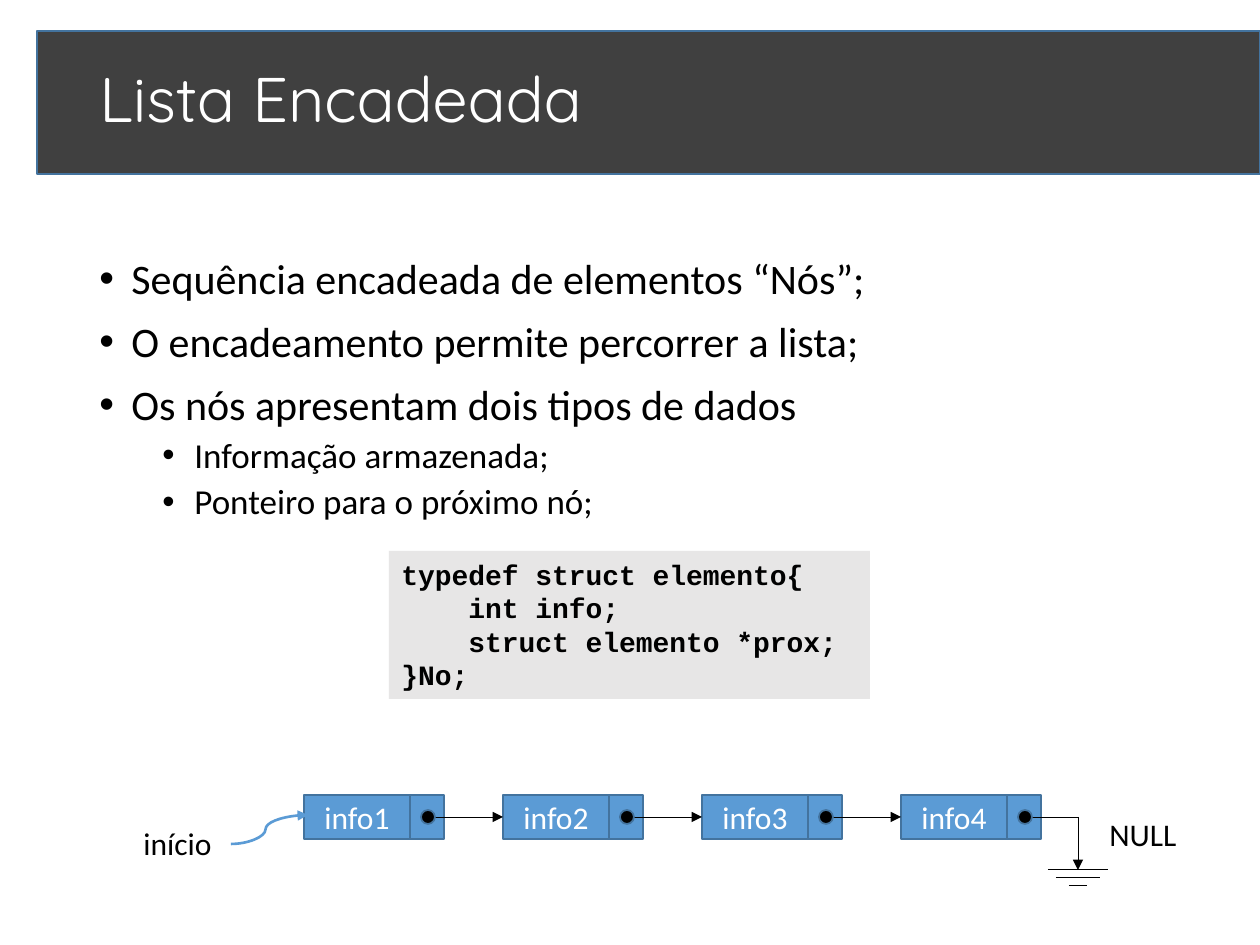
from lxml.etree import SubElement
from pptx import Presentation
from pptx.dml.color import RGBColor
from pptx.enum.shapes import MSO_CONNECTOR, MSO_SHAPE
from pptx.enum.text import MSO_ANCHOR, PP_ALIGN
from pptx.oxml.ns import qn
from pptx.util import Emu, Pt

BLACK = RGBColor(0, 0, 0)
WHITE = RGBColor(255, 255, 255)
DARK = RGBColor(0x40, 0x40, 0x40)
BLUE = RGBColor(0x5B, 0x9B, 0xD5)
EDGE = RGBColor(0x43, 0x73, 0x9E)
GRAY = RGBColor(0xE7, 0xE6, 0xE6)
SCALE = 914400 / 126  # EMU in one px


def emu(px):
    return Emu(round(px * SCALE))


class Deck:
    font = "Calibri"

    def __init__(self, wide, high):
        self.prs = Presentation()
        self.prs.slide_width, self.prs.slide_height = emu(wide), emu(high)
        self.slide = self.prs.slides.add_slide(self.prs.slide_layouts[6])

    def shape(self, kind, box, fill, edge=None):
        item = self.slide.shapes.add_shape(kind, *map(emu, box))
        item.shadow.inherit = False
        item.fill.solid()
        item.fill.fore_color.rgb = fill
        if edge is None:
            item.line.fill.background()
        else:
            item.line.color.rgb = edge
            item.line.width = Pt(1)
        return item

    def box(self, box, wrap=True):
        item = self.slide.shapes.add_textbox(*map(emu, box))
        item.text_frame.word_wrap = wrap
        return item

    def label(self, item, lines, size, color=BLACK, font=None, bold=False,
              align=PP_ALIGN.LEFT, anchor=MSO_ANCHOR.TOP, space=None):
        frame = item.text_frame
        frame.vertical_anchor = anchor
        for i, line in enumerate(lines):
            para = frame.paragraphs[0] if i == 0 else frame.add_paragraph()
            para.alignment = align
            para.line_spacing = space
            self.words(para, line, size, color, font, bold)

    def words(self, para, text, size, color=BLACK, font=None, bold=False):
        run = para.add_run()
        run.text = text
        run.font.name = font or self.font
        run.font.size = Pt(size)
        run.font.bold = bold
        run.font.color.rgb = color

    def bullets(self, item, rows):
        frame = item.text_frame
        for i, (level, text) in enumerate(rows):
            para = frame.paragraphs[0] if i == 0 else frame.add_paragraph()
            para.level = level
            para.line_spacing = 0.9
            if i:
                para.space_before = Pt(5 if level else 10)
            props = para._p.get_or_add_pPr()
            props.set("marL", str(emu(95 if level else 32)))
            props.set("indent", str(emu(-32)))
            SubElement(props, qn("a:buFont")).set("typeface", "Arial")
            SubElement(props, qn("a:buChar")).set("char", "•")
            self.words(para, text, 20 if level else 24)

    def line(self, ends, color=BLACK, width=0.5, head=False, bend=None):
        kind = MSO_CONNECTOR.CURVE if bend else MSO_CONNECTOR.STRAIGHT
        item = self.slide.shapes.add_connector(kind, *map(emu, ends))
        item.line.color.rgb = color
        item.line.width = Pt(width)
        props = item._element.spPr
        if bend:
            guide = SubElement(props.find(".//" + qn("a:avLst")), qn("a:gd"))
            guide.set("name", "adj1")
            guide.set("fmla", f"val {bend}")
        if head:
            edge = props.find(qn("a:ln"))
            SubElement(edge, qn("a:tailEnd")).set("type", "triangle")
        SubElement(props, qn("a:effectLst"))
        return item


def main():
    deck = Deck(1260, 945)

    # Body list
    body = deck.box((87, 252, 1086, 600))
    deck.bullets(body, [
        (0, "Sequência encadeada de elementos “Nós”;"),
        (0, "O encadeamento permite percorrer a lista;"),
        (0, "Os nós apresentam dois tipos de dados"),
        (1, "Informação armazenada;"),
        (1, "Ponteiro para o próximo nó;"),
    ])

    # Title band
    deck.shape(MSO_SHAPE.RECTANGLE, (37, 31, 1223, 143), DARK, EDGE)
    title = deck.box((87, 11, 1086, 183))
    deck.label(title, ["Lista Encadeada"], 36, WHITE, "Quicksand",
               anchor=MSO_ANCHOR.MIDDLE, space=0.9)

    # Nodes, each an info cell and a link cell
    left, top, step, wide, high = 304, 795, 199, 106, 44
    mid = top + high // 2
    nodes = []
    for i in range(4):
        x = left + i * step
        node = deck.shape(MSO_SHAPE.RECTANGLE, (x, top, wide, high), BLUE, EDGE)
        deck.label(node, [f"info{i + 1}"], 18, WHITE, align=PP_ALIGN.CENTER,
                   anchor=MSO_ANCHOR.MIDDLE)
        deck.shape(MSO_SHAPE.RECTANGLE, (x + wide, top, 34, high), BLUE, EDGE)
        nodes.append(node)

    # Start pointer
    deck.line((231, 844, 308, 815), BLUE, 1.5, head=True, bend=44900)
    deck.label(deck.box((131, 818, 95, 50), wrap=False), ["início"], 18)

    # Links from dot to next node, the last one to ground
    ground = 1078
    for i in range(4):
        dot = left + i * step + 117
        if i < 3:
            link = deck.line((dot, mid, left + (i + 1) * step, mid), head=True)
            link.end_connect(nodes[i + 1], 1)
        else:
            deck.line((dot, mid, ground, mid))
        deck.shape(MSO_SHAPE.OVAL, (dot, mid - 7, 14, 14), BLACK, EDGE)

    # Ground sign
    deck.line((ground, mid, ground, 870), head=True)
    for i, half in enumerate((30, 22, 9)):
        y = 869 + 8 * i
        deck.line((ground - half, y, ground + half, y))
    deck.label(deck.box((1097, 809, 93, 50), wrap=False), ["NULL"], 18)

    # Code
    code = deck.shape(MSO_SHAPE.RECTANGLE, (389, 551, 481, 148), GRAY)
    deck.label(code, [
        "typedef struct elemento{",
        "    int info;",
        "    struct elemento *prox;",
        "}No;",
    ], 16, font="Courier New", bold=True)

    deck.prs.save("out.pptx")


if __name__ == "__main__":
    main()
